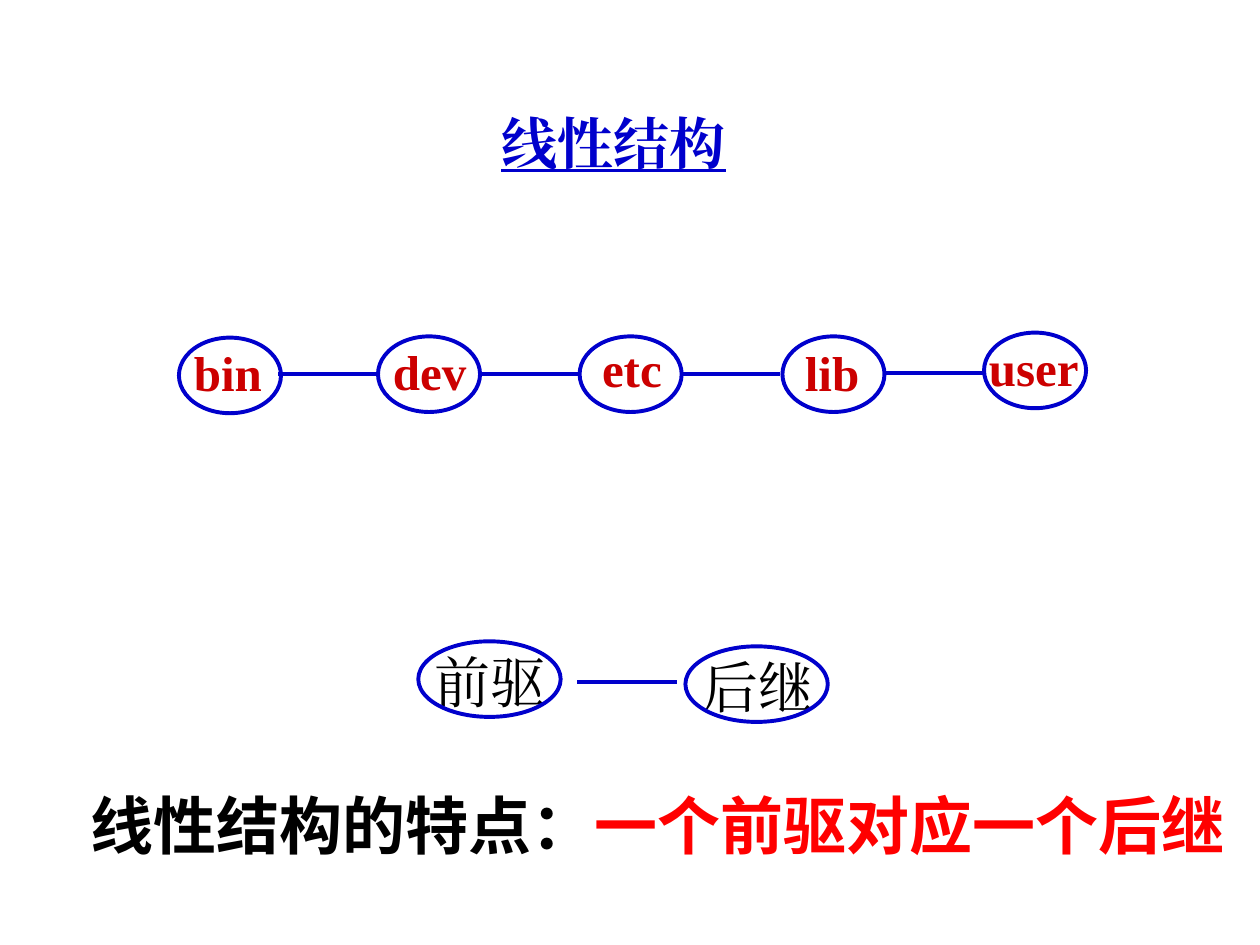
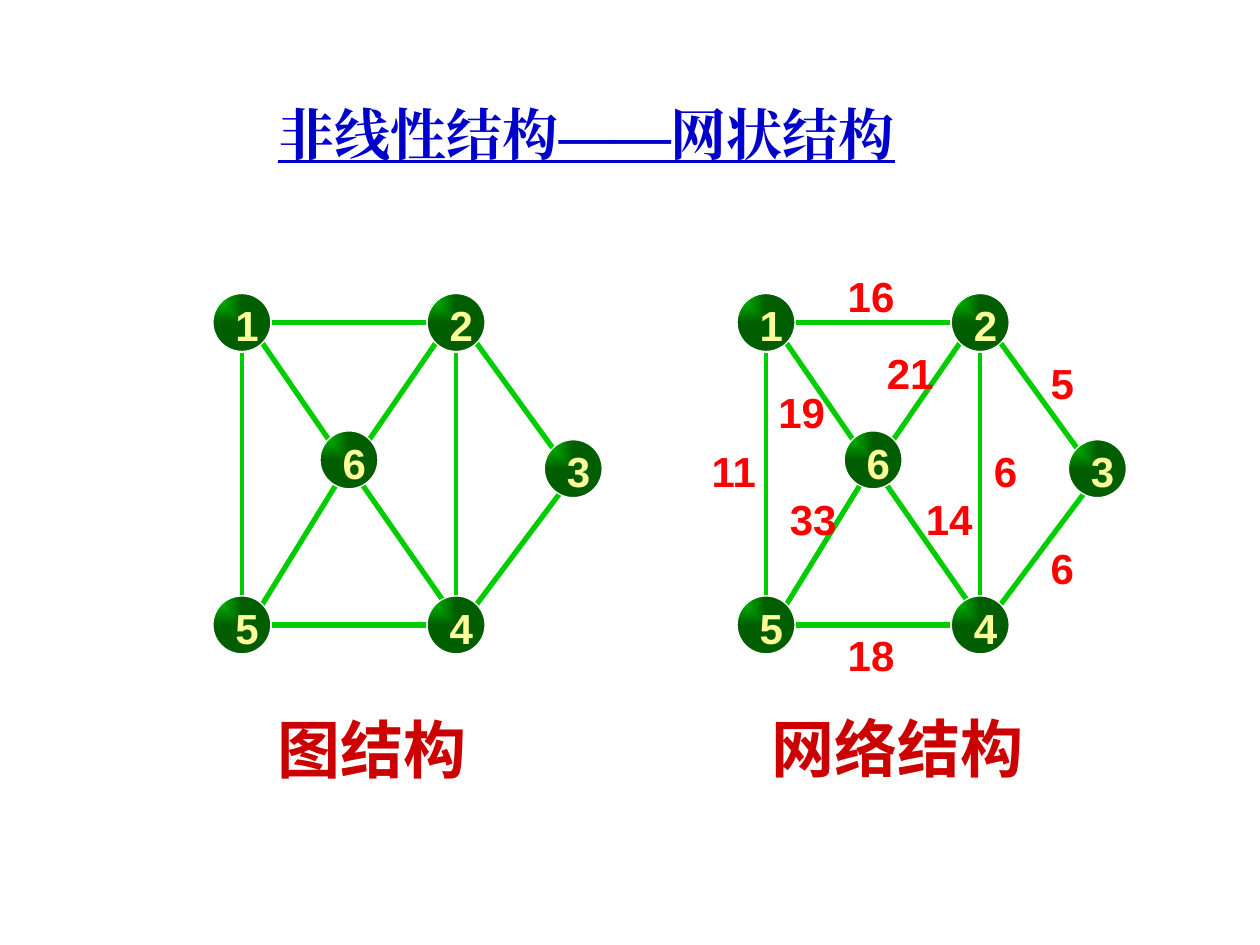
from dataclasses import dataclass
from math import copysign

from lxml.etree import SubElement
from pptx import Presentation
from pptx.dml.color import RGBColor
from pptx.enum.shapes import MSO_CONNECTOR, MSO_SHAPE
from pptx.enum.text import MSO_ANCHOR, MSO_AUTO_SIZE, PP_ALIGN
from pptx.oxml.ns import qn
from pptx.util import Inches, Pt


@dataclass(frozen=True)
class Theme:
    blue: str = "0000CC"
    dark_red: str = "CC0000"
    red: str = "FF0000"
    black: str = "000000"
    white: str = "FFFFFF"
    green: str = "00CC00"
    deep: str = "005E00"
    pale: str = "FFFF99"
    serif: str = "Times New Roman"
    sans: str = "Arial"
    han: str = "Noto Sans CJK SC"
    title: int = 32
    big: int = 36
    word: int = 28
    num: int = 24
    thin: float = 2.25
    thick: float = 3


T = Theme()

# Chain: word, oval left and top, label left and top, label width
CHAIN = [
    ("bin", 1.42, 2.68, 1.44, 2.67, 0.74),
    ("dev", 3.0, 2.67, 3.02, 2.66, 0.78),
    ("etc", 4.6, 2.67, 4.68, 2.64, 0.68),
    ("lib", 6.21, 2.67, 6.29, 2.67, 0.63),
    ("user", 7.81, 2.64, 7.75, 2.63, 0.91),
]
LINKS = [(2.21, 2.97), (3.81, 2.97), (5.4, 2.97), (7.01, 2.96), (4.58, 5.41)]
PAIR = [("前驱", 3.32, 5.09, 3.35), ("后继", 5.44, 5.13, 5.48)]

# Graph: node centres measured from node 1
NODES = {1: (0, 0), 2: (1.7, 0), 3: (2.63, 1.16),
         4: (1.7, 2.4), 5: (0, 2.4), 6: (0.85, 1.09)}
SIZE, RIM, DIAG, NEAR = 0.46, 0.24, 0.16, 0.08
# Slanted edges: two nodes, and how far sideways each end starts
SLANTS = [(1, 6, DIAG, DIAG), (2, 6, DIAG, DIAG), (2, 3, DIAG, DIAG),
          (3, 4, NEAR, DIAG), (6, 5, NEAR, DIAG), (6, 4, NEAR, NEAR)]
LEVEL = [(1, 2), (5, 4)]
UPRIGHT = [(1, 5), (2, 4)]
COSTS = [("11", 5.55, 3.49), ("33", 6.17, 3.87), ("18", 6.63, 4.95),
         ("14", 7.25, 3.87), ("6", 7.79, 3.49), ("6", 8.24, 4.26),
         ("5", 8.24, 2.79), ("16", 6.63, 2.1), ("19", 6.08, 3.02),
         ("21", 6.94, 2.71)]


def rgb(code):
    return RGBColor.from_string(code)


def add_run(para, text, size, font, color, bold=True, under=False):
    run = para.add_run()
    run.text = text
    face = run.font
    face.size, face.name, face.bold = Pt(size), font, bold
    if under:
        face.underline = True
    face.color.rgb = rgb(color)
    SubElement(face._element, qn("a:ea"), typeface=font)


def add_box(slide, x, y, w, h, wrap=False, grow=True, wide=False):
    """Add a text box and return its frame."""
    frame = slide.shapes.add_textbox(*map(Inches, (x, y, w, h))).text_frame
    frame.word_wrap = wrap
    frame.auto_size = (MSO_AUTO_SIZE.SHAPE_TO_FIT_TEXT if grow
                       else MSO_AUTO_SIZE.NONE)
    if wide:
        frame.margin_left = frame.margin_right = Inches(0.12)
        frame.margin_top = frame.margin_bottom = Inches(0.06)
    return frame


def add_label(slide, text, x, y, w, h, size, font, color, bold=True):
    frame = add_box(slide, x, y, w, h)
    add_run(frame.paragraphs[0], text, size, font, color, bold)


def add_title(slide, text, x, y, w, h, align):
    frame = add_box(slide, x, y, w, h, wrap=True, grow=False, wide=True)
    frame.vertical_anchor = MSO_ANCHOR.MIDDLE
    para = frame.paragraphs[0]
    para.alignment = align
    add_run(para, text, T.title, T.serif, T.blue, under=True)


def add_name(slide, text, x, y, w):
    frame = add_box(slide, x, y, w, 0.73, wrap=True, wide=True)
    add_run(frame.paragraphs[0], text, T.big, T.han, T.dark_red)


def add_line(slide, start, end, color, width):
    line = slide.shapes.add_connector(
        MSO_CONNECTOR.STRAIGHT, *map(Inches, (*start, *end)))
    line.line.color.rgb = rgb(color)
    line.line.width = Pt(width)
    SubElement(line._element.spPr, qn("a:effectLst"))


def add_oval(slide, x, y, w, h, color, width):
    oval = slide.shapes.add_shape(MSO_SHAPE.OVAL, *map(Inches, (x, y, w, h)))
    oval.shadow.inherit = False
    oval.fill.background()
    oval.line.color.rgb = rgb(color)
    oval.line.width = Pt(width)
    return oval


def add_node(slide, num, x, y):
    ball = add_oval(slide, x - SIZE / 2, y - SIZE / 2, SIZE, SIZE,
                    T.white, 0.75)
    ball.fill.gradient()
    for stop, place, color in zip(ball.fill.gradient_stops, (0, 1),
                                  (T.green, T.deep)):
        stop.position = place
        stop.color.rgb = rgb(color)
    # Shade outward from the top left corner
    grad = ball._element.spPr.find(qn("a:gradFill"))
    grad.remove(grad.find(qn("a:lin")))
    shade = SubElement(grad, qn("a:path"), attrib={"path": "rect"})
    SubElement(shade, qn("a:fillToRect"), r="100000", b="100000")
    add_label(slide, str(num), x - 0.15, y - 0.23, 0.39, 0.5,
              T.num, T.sans, T.pale)


def add_graph(slide, left, top):
    spots = {num: (left + x, top + y) for num, (x, y) in NODES.items()}
    # Edges
    for a, b, out, into in SLANTS:
        (ax, ay), (bx, by) = spots[a], spots[b]
        side, down = copysign(1, bx - ax), copysign(1, by - ay)
        add_line(slide, (ax + side * out, ay + down * DIAG),
                 (bx - side * into, by - down * DIAG), T.green, T.thick)
    for a, b in LEVEL:
        (ax, ay), (bx, by) = spots[a], spots[b]
        add_line(slide, (ax + RIM, ay), (bx - RIM, by), T.green, T.thick)
    for a, b in UPRIGHT:
        (ax, ay), (bx, by) = spots[a], spots[b]
        add_line(slide, (ax, ay + RIM), (bx, by - RIM), T.green, T.thin)
    # Nodes
    for num, spot in spots.items():
        add_node(slide, num, *spot)


def draw_chain(slide):
    add_title(slide, "线性结构", 3.58, 0.67, 2.58, 0.92, PP_ALIGN.CENTER)
    for x, y in LINKS:
        add_line(slide, (x, y), (x + 0.79, y), T.blue, T.thin)
    for word, x, y, tx, ty, w in CHAIN:
        add_oval(slide, x, y, 0.81, 0.6, T.blue, T.thin)
        add_label(slide, word, tx, ty, w, 0.57, T.word, T.serif, T.dark_red)
    for word, x, y, tx in PAIR:
        add_label(slide, word, tx, y, 1.1, 0.64, T.title, T.serif, T.black,
                  bold=False)
        add_oval(slide, x, y, 1.13, 0.6, T.blue, T.thin)
    # Key point
    para = add_box(slide, 0.12, 6.19, 9.76, 0.71, wrap=True).paragraphs[0]
    para._p.get_or_add_pPr().set("marL", str(Inches(0.5)))
    add_run(para, "线性结构的特点：", T.big, T.sans, T.black)
    add_run(para, "一个前驱对应一个后继", T.big, T.sans, T.red)


def draw_nets(slide):
    add_title(slide, "非线性结构——网状结构", 2.09, 0.72, 6.22, 0.67,
              PP_ALIGN.LEFT)
    for left in (1.92, 6.08):
        add_graph(slide, left, 2.56)
    for cost, x, y in COSTS:
        add_label(slide, cost, x, y, 0.39 if len(cost) == 1 else 0.57, 0.5,
                  T.num, T.sans, T.red)
    add_name(slide, "图结构", 2.08, 5.58, 1.91)
    add_name(slide, "网络结构", 6, 5.57, 2.46)


def main():
    deck = Presentation()
    deck.slide_width, deck.slide_height = Inches(10), Inches(7.5)
    for draw in (draw_chain, draw_nets):
        draw(deck.slides.add_slide(deck.slide_layouts[6]))
    deck.save("out.pptx")


if __name__ == "__main__":
    main()
